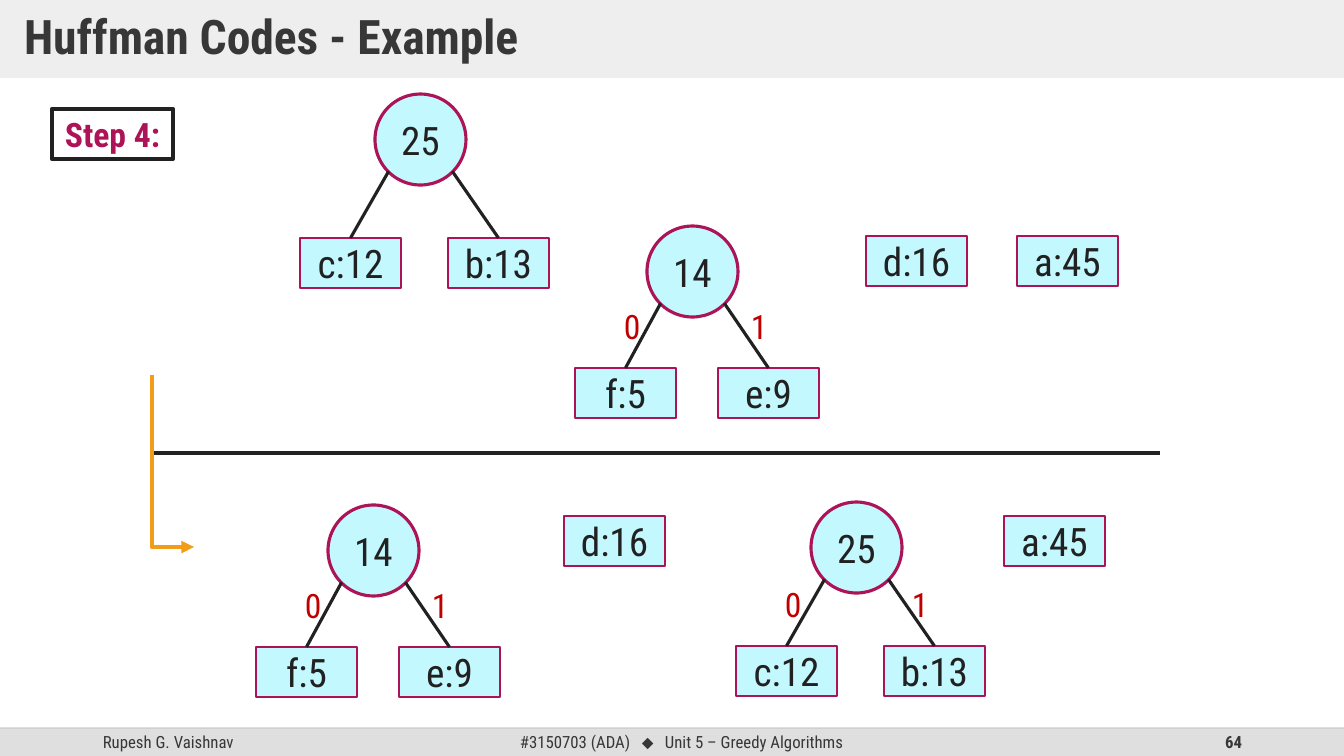
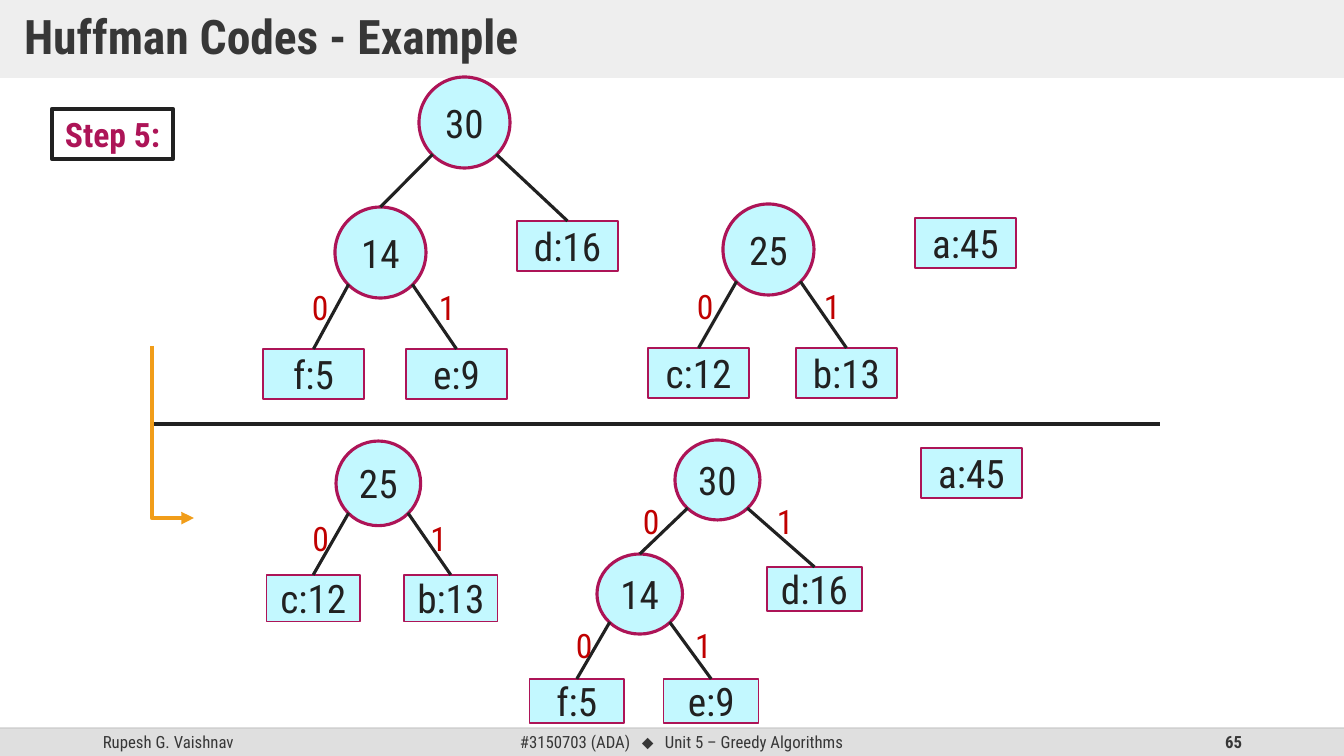
from dataclasses import dataclass

from lxml import etree
from pptx import Presentation
from pptx import util as u
from pptx.dml.color import RGBColor
from pptx.enum import shapes, text
from pptx.oxml.ns import qn

PX = 12192000 / 1344
KIND = shapes.MSO_SHAPE
WIRE = shapes.MSO_CONNECTOR
SIDE = text.PP_ALIGN
ROW = text.MSO_ANCHOR


@dataclass(frozen=True)
class Theme:
    """Colours, fonts and type sizes of the deck."""

    band: str = "DFDFDF"
    rule: str = "BFBFBF"
    head: str = "373737"
    ink: str = "212121"
    mark: str = "AD1457"
    node: str = "C3F8FF"
    bit: str = "C00000"
    flow: str = "F19D19"
    face: str = "Roboto Condensed"
    sign: str = "Arial"
    title: int = 34
    label: int = 28
    step: int = 24
    foot: int = 12


@dataclass(frozen=True)
class Pair:
    """Two leaves under a root, with offsets from the root's corner."""

    names: tuple
    leaves: tuple
    drop: int
    bits: tuple
    fall: int


PAIRS = {
    "14": Pair(("f:5", "e:9"), (-72, 71), 142, (-33, 94), 75),
    "25": Pair(("c:12", "b:13"), (-75, 73), 144, (-36, 91), 77),
}


def emu(px):
    """Turn px into EMU."""
    return u.Emu(round(px * PX))


def tint(code):
    """Turn a hex code into a colour."""
    return RGBColor.from_string(code)


def fade(shape, share):
    """Make the colours of a shape partly transparent."""
    for node in shape._element.spPr.iter(qn("a:srgbClr")):
        etree.SubElement(node, qn("a:alpha")).set("val", str(share * 1000))


class Deck:
    """Draws styled elements on the current slide."""

    def __init__(self, theme):
        """Start an empty wide deck."""
        self.look = theme
        self.show = Presentation()
        self.show.slide_width, self.show.slide_height = emu(1344), emu(756)

    def page(self, title, step, number):
        """Add a slide with title band, footer and step tag."""
        look = self.look
        self.slide = self.show.slides.add_slide(self.show.slide_layouts[5])
        band = self.slide.shapes.title
        band.left, band.top, band.width, band.height = map(emu, (0, 0, 1344, 78))
        band.fill.solid()
        band.fill.fore_color.rgb = tint(look.band)
        fade(band, 50)
        frame = band.text_frame
        frame.auto_size = text.MSO_AUTO_SIZE.NONE
        frame.margin_left = frame.margin_right = emu(24)
        frame.margin_top = frame.margin_bottom = emu(12)
        para = self.label(band, title, look.title, look.head, SIDE.LEFT, bold=True)
        para.line_spacing = 0.9
        self.foot(number)
        self.shape(KIND.RECTANGLE, (52, 109, 121, 50), None, look.ink, 3,
                   step, look.step, look.mark, True)

    def foot(self, number):
        """Draw the footer bar with author, course and page number."""
        look = self.look
        self.shape(KIND.RECTANGLE, (0, 728, 1344, 28), look.band)
        self.note("Rupesh G. Vaishnav", (93, 728, 302, 28), look.foot, look.head)
        para = self.note("#3150703 (ADA)", (510, 728, 380, 28), look.foot, look.head)
        tabs = etree.SubElement(para._p.get_or_add_pPr(), qn("a:tabLst"))
        for stop in (122, 145):
            tab = etree.SubElement(tabs, qn("a:tab"))
            tab.set("pos", str(emu(stop)))
            tab.set("algn", "l")
        self.run(para, "\t⬥", look.foot, look.head, face=look.sign)
        self.run(para, "\tUnit 5 – Greedy Algorithms", look.foot, look.head)
        self.note(str(number), (950, 728, 302, 28), look.foot, look.head, SIDE.RIGHT, True)
        fade(self.line((0, 728), (1344, 728), look.rule, 1), 70)

    def run(self, para, words, size, ink, bold=False, face=None):
        """Add one styled run to a paragraph."""
        part = para.add_run()
        part.text = words
        font = part.font
        font.name, font.size, font.bold = face or self.look.face, u.Pt(size), bold
        font.color.rgb = tint(ink)

    def label(self, shape, words, size, ink, side=SIDE.CENTER, row=ROW.MIDDLE, bold=False):
        """Fill a shape with one paragraph."""
        frame = shape.text_frame
        frame.word_wrap, frame.vertical_anchor = True, row
        para = frame.paragraphs[0]
        para.alignment = side
        self.run(para, words, size, ink, bold)
        return para

    def note(self, words, area, size, ink, side=SIDE.LEFT, bold=False, row=ROW.MIDDLE):
        """Add a text box."""
        box = self.slide.shapes.add_textbox(*map(emu, area))
        return self.label(box, words, size, ink, side, row, bold)

    def shape(self, kind, area, fill, edge=None, wide=1, words="", size=0, ink="", bold=False):
        """Add a preset shape with optional outline and text."""
        item = self.slide.shapes.add_shape(kind, *map(emu, area))
        item.shadow.inherit = False
        if fill:
            item.fill.solid()
            item.fill.fore_color.rgb = tint(fill)
        else:
            item.fill.background()
        if edge:
            item.line.color.rgb = tint(edge)
            item.line.width = u.Pt(wide)
        else:
            item.line.fill.background()
        if words:
            self.label(item, words, size, ink, bold=bold)
        return item

    def leaf(self, words, x, y, wide=101, tall=50):
        """Add a symbol box."""
        look = self.look
        return self.shape(KIND.RECTANGLE, (x, y, wide, tall), look.node, look.mark, 1,
                          words, look.label, look.ink)

    def root(self, words, x, y, wide=91, tall=91):
        """Add a round inner node."""
        look = self.look
        return self.shape(KIND.OVAL, (x, y, wide, tall), look.node, look.mark, 2.25,
                          words, look.label, look.ink)

    def bit(self, words, x, y):
        """Add a code bit beside a branch."""
        self.note(words, (x, y, 40, 50), self.look.step, self.look.bit, row=ROW.TOP)

    def line(self, start, end, ink, wide, kind=WIRE.STRAIGHT):
        """Add a plain connector."""
        wire = self.slide.shapes.add_connector(kind, *map(emu, start + end))
        wire.line.color.rgb = tint(ink)
        wire.line.width = u.Pt(wide)
        etree.SubElement(wire._element.spPr, qn("a:effectLst"))
        return wire

    def fork(self, root, *kids):
        """Join a root to its left and right child."""
        for sign, kid in zip((-1, 1), kids):
            x = (root.left + root.width * (0.5 + sign * 0.35)) / PX
            y = (root.top + root.height * 0.85) / PX
            wire = self.line((x, y), (x, y), self.look.ink, 2.25)
            wire.end_connect(kid, 0)

    def tree(self, name, x, y, wide=1, tall=1, bits=True):
        """Draw a root with its pair of leaves and return the root."""
        pair = PAIRS[name]
        kids = [self.leaf(word, x + dx * wide, y + pair.drop * tall, 101 * wide, 50 * tall)
                for word, dx in zip(pair.names, pair.leaves)]
        top = self.root(name, x, y, 91 * wide, 91 * tall)
        self.fork(top, *kids)
        if bits:
            for word, dx in zip("01", pair.bits):
                self.bit(word, x + dx * wide, y + pair.fall * tall)
        return top

    def split(self, y):
        """Draw the divider and the arrow from before to after."""
        self.line((152, y), (1160, y), self.look.ink, 3)
        wire = self.line((87, y - 13), (259, y + 29), self.look.flow, 3, WIRE.ELBOW)
        props = wire._element.spPr
        props.xfrm.set("rot", "16200000")
        props.xfrm.set("flipH", "1")
        geom = props.find(qn("a:prstGeom"))
        guide = etree.SubElement(geom.find(qn("a:avLst")), qn("a:gd"))
        guide.set("name", "adj1")
        guide.set("fmla", "val 100100")
        etree.SubElement(props.find(qn("a:ln")), qn("a:tailEnd")).set("type", "triangle")


def main():
    """Build both steps and save the deck."""
    deck = Deck(Theme())
    title = "Huffman Codes - Example"

    deck.page(title, "Step 4:", 64)
    deck.tree("25", 375, 94, bits=False)
    deck.tree("14", 647, 226)
    deck.leaf("d:16", 866, 236)
    deck.leaf("a:45", 1017, 236)
    deck.split(453)
    deck.tree("14", 328, 505)
    deck.leaf("d:16", 564, 516)
    deck.tree("25", 811, 502)
    deck.leaf("a:45", 1004, 516)

    deck.page(title, "Step 5:", 65)
    left = deck.tree("14", 335, 207)
    right = deck.leaf("d:16", 517, 221)
    deck.fork(deck.root("30", 419, 77), left, right)
    deck.tree("25", 723, 204)
    deck.leaf("a:45", 915, 218)
    deck.split(424)
    deck.tree("25", 336, 441, 0.93, 0.93)
    left = deck.tree("14", 597, 554, 0.94, 0.88)
    right = deck.leaf("d:16", 767, 567, 95, 44)
    deck.fork(deck.root("30", 675, 440, 85, 80), left, right)
    deck.bit("0", 633, 496)
    deck.bit("1", 767, 496)
    deck.leaf("a:45", 921, 448)

    deck.show.save("out.pptx")


if __name__ == "__main__":
    main()
